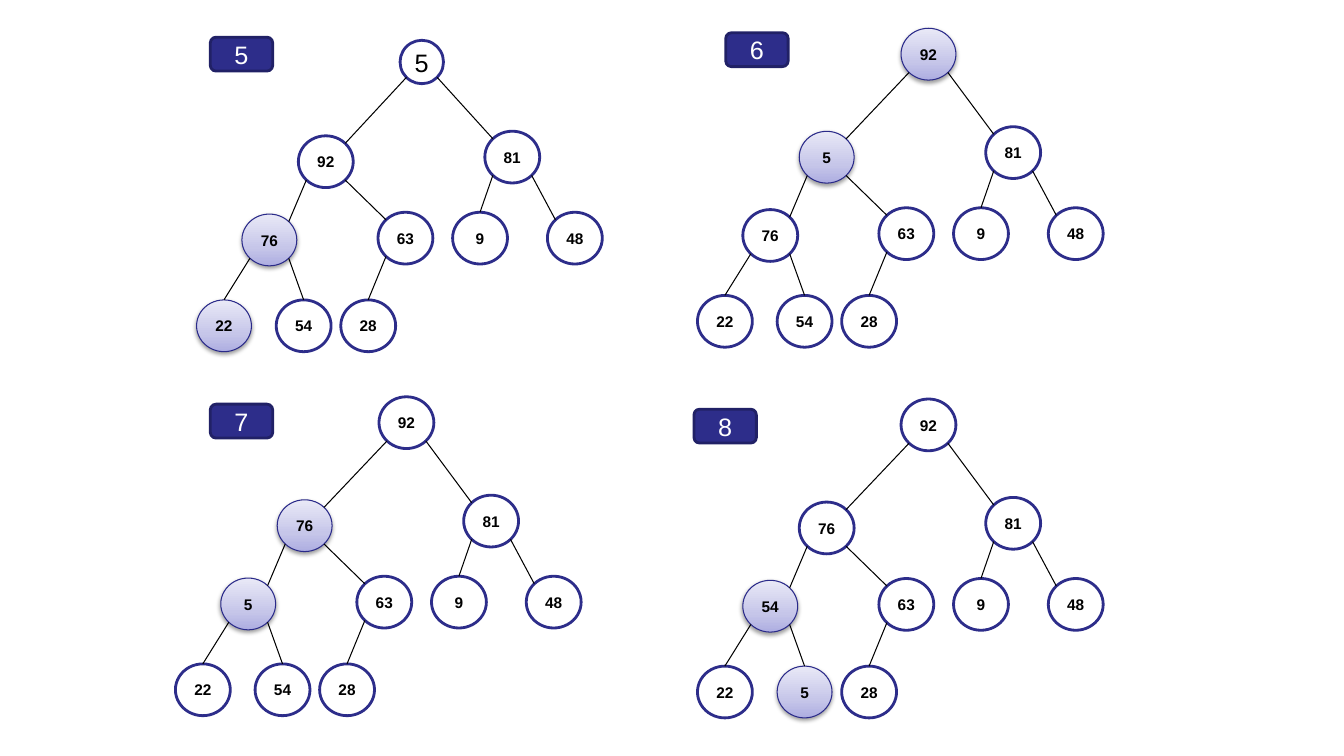
"""Build a slide that shows steps 5 to 8 of sifting a value down a binary heap."""
import pptx
import pptx.util
import pptx.dml.color
import pptx.enum.shapes
import pptx.enum.text
import pptx.oxml.ns
import lxml.etree
import math

Pt = pptx.util.Pt
SHAPE = pptx.enum.shapes.MSO_SHAPE


def color(hex_string):
    return pptx.dml.color.RGBColor.from_string(hex_string)


def add_xml(parent, tag, **attributes):
    return lxml.etree.SubElement(parent, pptx.oxml.ns.qn(tag), attributes)


class HeapSlide:
    font = "Arial"
    navy, badge_edge, active_edge = "2D2D8A", "212166", "2A2A89"
    gradient = ((0, "ADADE1"), (35, "C6C6E9"), (100, "E9E9F7"))

    def __init__(self, deck):
        self.slide = deck.slides.add_slide(deck.slide_layouts[6])

    def label(self, shape, text, size, ink, bold):
        frame = shape.text_frame
        frame.margin_left = frame.margin_right = frame.margin_top = frame.margin_bottom = 0
        frame.vertical_anchor = pptx.enum.text.MSO_ANCHOR.MIDDLE
        paragraph = frame.paragraphs[0]
        paragraph.alignment = pptx.enum.text.PP_ALIGN.CENTER
        run = paragraph.add_run()
        run.text = str(text)
        run.font.name, run.font.size, run.font.bold = self.font, Pt(size), bold
        run.font.color.rgb = color(ink)

    def box(self, parent, kind, bounds, fill, edge, width):
        shape = parent.shapes.add_shape(kind, *(Pt(length) for length in bounds))
        shape.shadow.inherit = False
        shape.fill.solid()
        shape.fill.fore_color.rgb = color(fill)
        shape.line.color.rgb = color(edge)
        shape.line.width = Pt(width)
        return shape

    def highlight(self, node):
        node.fill.gradient()
        node.fill.gradient_angle = 90
        properties = node._element.spPr
        stops = properties.find(".//" + pptx.oxml.ns.qn("a:gsLst"))
        for stop in list(stops):
            stops.remove(stop)
        for position, shade in self.gradient:
            stop = add_xml(stops, "a:gs", pos=str(position * 1000))
            add_xml(stop, "a:srgbClr", val=shade)
        effects = properties.find(pptx.oxml.ns.qn("a:effectLst"))
        shadow = add_xml(effects, "a:outerShdw", blurRad=str(Pt(3.1)), dist=str(Pt(1.6)),
                         dir="5400000", rotWithShape="0")
        add_xml(add_xml(shadow, "a:srgbClr", val="000000"), "a:alpha", val="38000")

    def node(self, tree, bounds, value, active, size=11, bold=True):
        edge, width = (self.active_edge, 0.75) if active else (self.navy, 2)
        node = self.box(tree, SHAPE.OVAL, bounds, "FFFFFF", edge, width)
        if active:
            self.highlight(node)
        self.label(node, value, size, "000000", bold)

    def edge(self, tree, start, end):
        ends = (Pt(length) for length in (*start, *end))
        line = tree.shapes.add_connector(pptx.enum.shapes.MSO_CONNECTOR.STRAIGHT, *ends)
        line.line.color.rgb = color("000000")
        line.line.width = Pt(0.75)
        add_xml(line._element.spPr, "a:effectLst")

    def badge(self, left, top, step):
        bounds = (left, top, 44.6, 24.2)
        badge = self.box(self.slide, SHAPE.ROUNDED_RECTANGLE, bounds, self.navy, self.badge_edge, 2)
        self.label(badge, step, 18, "FFFFFF", False)

    def tree(self, left, top, values, active, small_root=False):
        tree = self.slide.shapes.add_group_shape()
        bounds = [(left + x, top + y, *NODE_SIZE) for x, y in NODE_OFFSETS]
        if small_root:
            bounds[0] = (left + NODE_OFFSETS[0][0], top + 5.4, 31, 31)
        for index, (place, value) in enumerate(zip(bounds, values)):
            plain_root = small_root and index == 0
            self.node(tree, place, value, value in active, 18 if plain_root else 11, not plain_root)
        for parent, child, leave, arrive in EDGES:
            self.edge(tree, rim(bounds[parent], leave), rim(bounds[child], arrive))


def rim(bounds, degrees):
    left, top, width, height = bounds
    angle = math.radians(degrees)
    return (left + width / 2 * (1 + math.cos(angle)), top + height / 2 * (1 - math.sin(angle)))


NODE_SIZE = (39.2, 37)
NODE_OFFSETS = [(145.4, 0), (72.7, 73.6), (205.9, 70.3), (32.4, 129.5), (129.6, 128.2),
                (182.9, 128.2), (250.6, 128.2), (0, 190.8), (56.9, 190.8), (103, 190.8)]
TOP, TOP_RIGHT, TOP_LEFT, BOTTOM_LEFT, BOTTOM_RIGHT = 90, 45, 135, 225, 315
EDGES = [(0, 1, BOTTOM_LEFT, TOP_RIGHT), (0, 2, BOTTOM_RIGHT, TOP_LEFT),
         (1, 3, BOTTOM_LEFT, TOP_RIGHT), (1, 4, BOTTOM_RIGHT, TOP_LEFT),
         (2, 5, BOTTOM_LEFT, TOP), (2, 6, BOTTOM_RIGHT, TOP_LEFT),
         (3, 7, BOTTOM_LEFT, TOP), (3, 8, BOTTOM_RIGHT, TOP), (4, 9, BOTTOM_LEFT, TOP)]
STEPS = [
    (5, (150.2, 26.6), (140.4, 23.4), [5, 92, 81, 76, 63, 9, 48, 22, 54, 28], {76, 22}),
    (6, (518.4, 23.4), (498.2, 20.2), [92, 5, 81, 76, 63, 9, 48, 22, 54, 28], {92, 5}),
    (7, (150.2, 288.7), (125.3, 283.4), [92, 76, 81, 5, 63, 9, 48, 22, 54, 28], {76, 5}),
    (8, (495.7, 292.3), (498.2, 285), [92, 76, 81, 54, 63, 9, 48, 22, 5, 28], {54, 5}),
]

deck = pptx.Presentation()
deck.slide_width, deck.slide_height = Pt(960), Pt(540)
heap = HeapSlide(deck)
for step, badge_at, tree_at, values, active in STEPS:
    heap.tree(*tree_at, values, active, small_root=step == 5)
    heap.badge(*badge_at, step)
deck.save("out.pptx")
